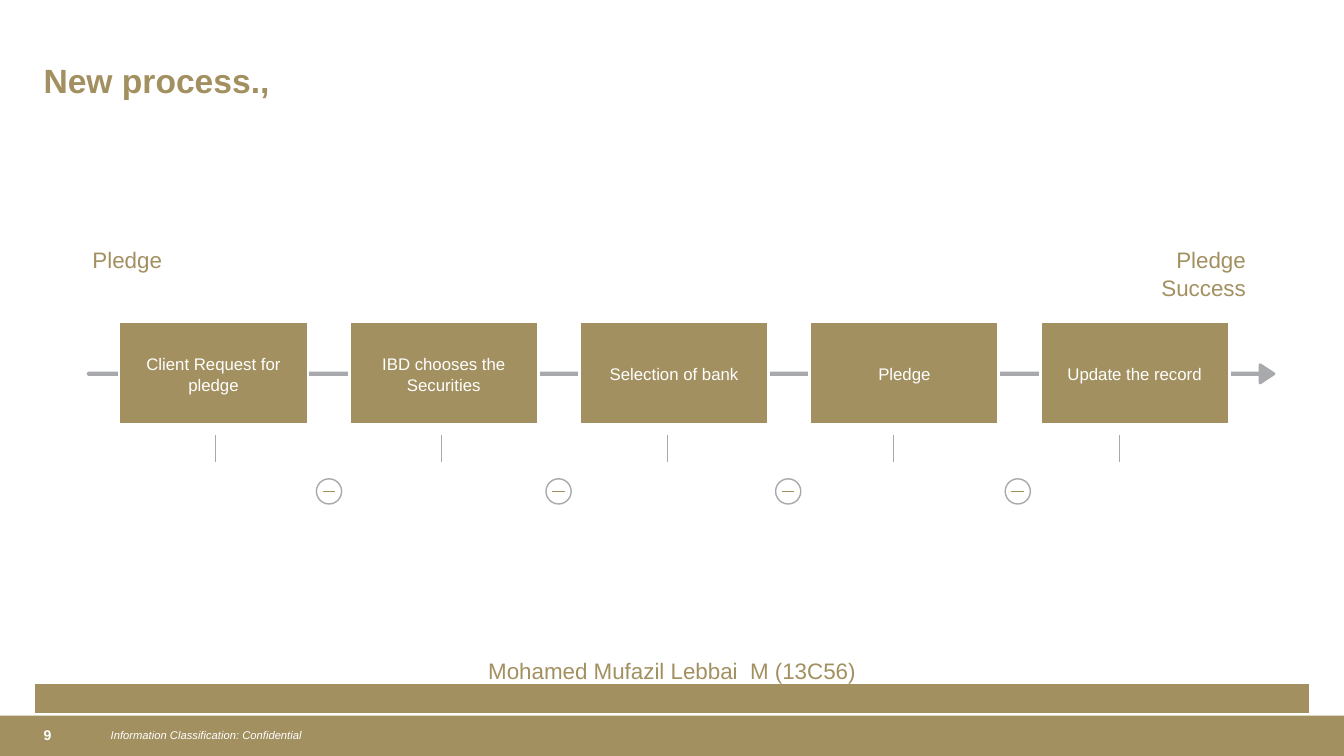
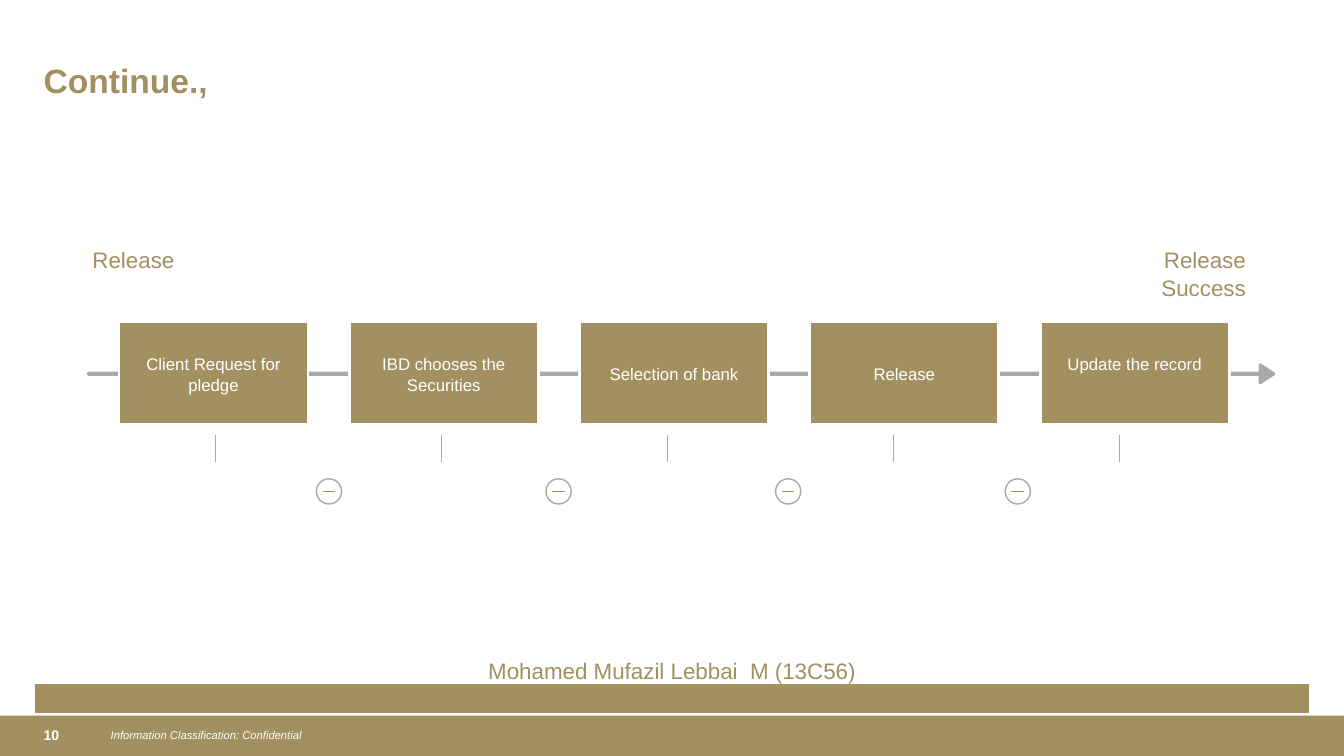
from lxml.etree import SubElement
from pptx import Presentation
from pptx.dml.color import RGBColor
from pptx.enum.shapes import MSO_CONNECTOR as Link, MSO_SHAPE as Kind
from pptx.enum.text import MSO_ANCHOR as Anchor, PP_ALIGN as Align
from pptx.oxml.ns import qn
from pptx.util import Pt

GOLD, GREY, WHITE = "A29060", "A7A9AC", "FFFFFF"
FONT = "Arial"
WIDE, HIGH = 960, 540


def color(code):
    return RGBColor.from_string(code)


def write(shape, text, size, ink, align=Align.LEFT, anchor=Anchor.TOP,
          bold=False, italic=False, space=1.05):
    frame = shape.text_frame
    frame.word_wrap = True
    frame.vertical_anchor = anchor
    para = frame.paragraphs[0]
    para.text = text
    para.alignment = align
    para.line_spacing = space
    font = para.font
    font.name, font.size, font.bold, font.italic = FONT, Pt(size), bold, italic
    font.color.rgb = color(ink)


def label(slide, box, text, size, ink, **style):
    shape = slide.shapes.add_textbox(*map(Pt, box))
    write(shape, text, size, ink, **style)


def block(slide, kind, box, fill=None, line=None, width=1):
    shape = slide.shapes.add_shape(kind, *map(Pt, box))
    shape.shadow.inherit = False
    if fill:
        shape.fill.solid()
        shape.fill.fore_color.rgb = color(fill)
    else:
        shape.fill.background()
    if line:
        shape.line.color.rgb = color(line)
        shape.line.width = Pt(width)
    else:
        shape.line.fill.background()
    return shape


def rule(slide, ends, ink, width):
    line = slide.shapes.add_connector(Link.STRAIGHT, *map(Pt, ends))
    line.line.color.rgb = color(ink)
    line.line.width = Pt(width)
    SubElement(line._element.spPr, qn("a:effectLst"))


def footer(slide, x, y, wide, high, number):
    block(slide, Kind.RECTANGLE, (x, y, wide, high), GOLD)
    style = dict(anchor=Anchor.MIDDLE, space=0.95)
    label(slide, (x + 24, y + 1, 43, high - 2), str(number), 10, WHITE,
          bold=True, **style)
    label(slide, (x + 72, y + 6, 667, 17),
          "Information Classification: Confidential", 8, WHITE,
          italic=True, **style)


def byline(slide, x, y, wide, high):
    block(slide, Kind.RECTANGLE, (x, y, wide, high), GOLD, WHITE, 2)
    label(slide, (x, y - 22.5, wide, 27), "Mohamed Mufazil Lebbai  M (13C56)",
          16, GOLD, align=Align.CENTER)


def minus(slide, x, y, size):
    block(slide, Kind.OVAL, (x, y, size, size), line=GREY)
    mid = y + size / 2
    rule(slide, (x + size / 4, mid, x + size * 3 / 4, mid), GOLD, 1)


def flow(slide, x, y, wide, start, end, steps, lift):
    arrow = block(slide, Kind.RIGHT_ARROW, (x, y + 89, wide, 13), GREY, GREY, 2)
    arrow.adjustments[0], arrow.adjustments[1] = 0.08, 0.76
    label(slide, (x - 4, y, 116, 27), start, 16, GOLD)
    label(slide, (x + 718, y, 116, 46), end, 16, GOLD, align=Align.RIGHT)
    for i, text in enumerate(steps):
        left = x + 22 + 164.5 * i
        card = block(slide, Kind.RECTANGLE, (left, y + 58.5, 135, 73.5),
                     GOLD, WHITE, 2)
        write(card, text, 12, WHITE, Align.CENTER, Anchor.MIDDLE)
        if i == len(steps) - 1:
            card.text_frame.margin_bottom = Pt(3.6 + lift)
        tick = x + 91 + 161.4 * i
        rule(slide, (tick, y + 139, tick, y + 158.5), GREY, 0.75)
        if i < len(steps) - 1:
            minus(slide, x + 163 + 164 * i, y + 170.5, 18)


def build(deck, number, title, start, end, act, lift=0):
    slide = deck.slides.add_slide(deck.slide_layouts[6])
    footer(slide, 0, 511.2, WIDE, HIGH - 511.2, number)
    steps = ["Client Request for pledge", "IBD chooses the Securities",
             "Selection of bank", act, "Update the record"]
    flow(slide, 63, 171.5, 847, start, end, steps, lift)
    label(slide, (24, 37.5, 912, 36), title, 24, GOLD, bold=True)
    byline(slide, 24, 487.5, 912, 22.5)


def main():
    deck = Presentation()
    deck.slide_width, deck.slide_height = Pt(WIDE), Pt(HIGH)
    build(deck, 9, "New process.,", "Pledge", "Pledge Success", "Pledge")
    build(deck, 10, "Continue.,", "Release", "Release Success", "Release", 14.5)
    deck.save("out.pptx")


if __name__ == "__main__":
    main()
